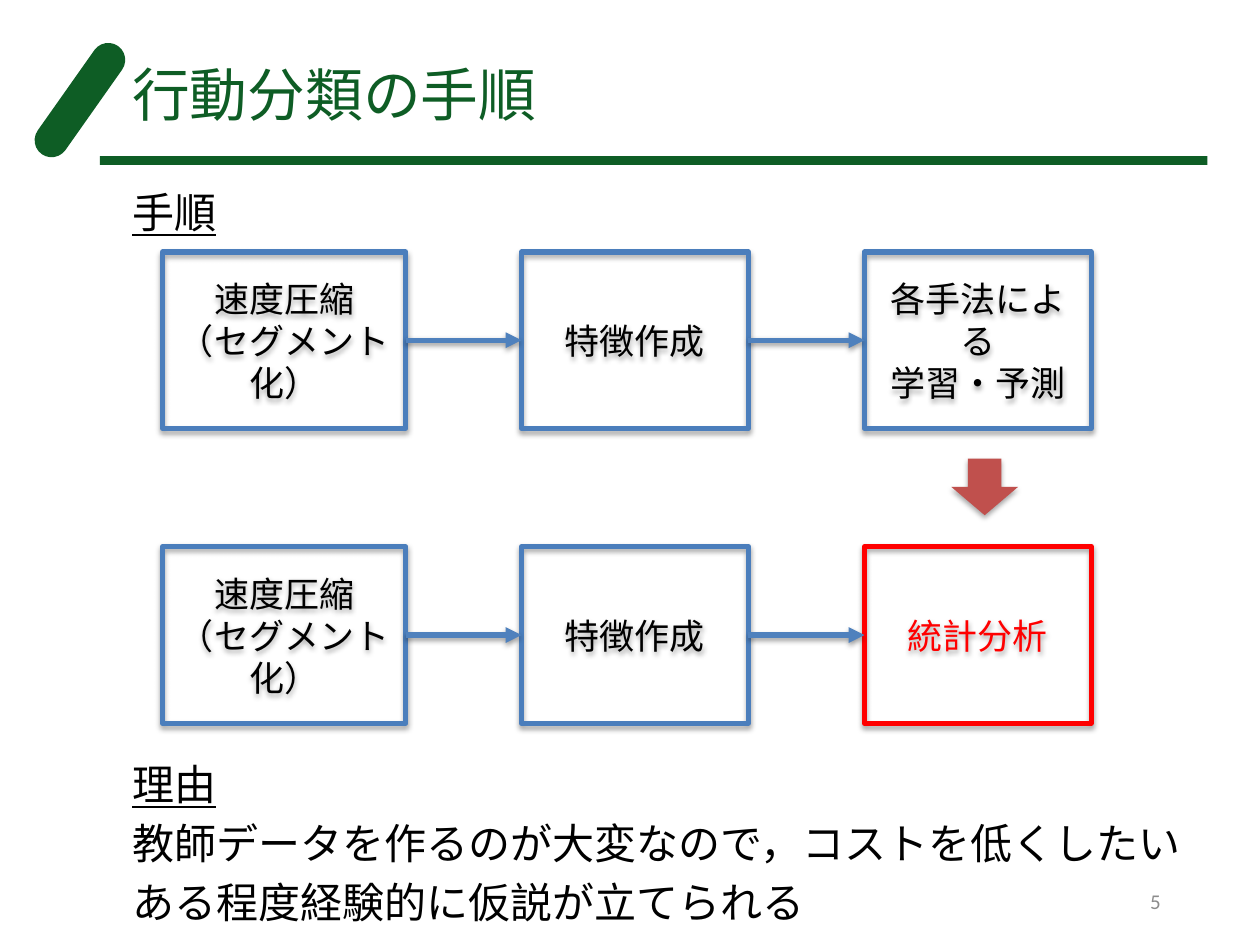
import dataclasses

import lxml.etree
import pptx
import pptx.dml.color
import pptx.enum.shapes
import pptx.enum.text
import pptx.oxml.ns
import pptx.util

Pt = pptx.util.Pt
RGB = pptx.dml.color.RGBColor
Kind = pptx.enum.shapes.MSO_SHAPE
Align = pptx.enum.text.PP_ALIGN
Anchor = pptx.enum.text.MSO_ANCHOR
qn = pptx.oxml.ns.qn

GREEN = RGB(0x0E, 0x5D, 0x25)
BLUE = RGB(0x4B, 0x7E, 0xBC)
ARROW = RGB(0x4F, 0x81, 0xBD)
BRICK = RGB(0xC0, 0x50, 0x4D)
RED = RGB(0xFF, 0x00, 0x00)
BLACK = RGB(0x00, 0x00, 0x00)
GREY = RGB(0x8C, 0x8C, 0x8C)

FONT = "Calibri"
HEIGHT = 100.8
SPANS = [(92.9, 139), (298, 129.6), (494, 129.6)]


@dataclasses.dataclass
class Step:
    lines: list[str]
    edge: RGB = BLUE
    ink: RGB = BLACK


@dataclasses.dataclass
class Flow:
    top: float
    steps: list[Step]


def write(frame, lines: list[str], *, size: float, color=BLACK, align=Align.LEFT,
          anchor=Anchor.TOP, before: float = 0, under: bool = False) -> None:
    frame.word_wrap = True
    frame.vertical_anchor = anchor
    for i, line in enumerate(lines):
        para = frame.paragraphs[0] if i == 0 else frame.add_paragraph()
        para.alignment = align
        para.space_before = Pt(before)
        run = para.add_run()
        run.text = line
        font = run.font
        font.name = FONT
        font.size = Pt(size)
        font.color.rgb = color
        font.underline = under and i == 0


def label(slide, left: float, top: float, width: float, height: float,
          lines: list[str], **style) -> None:
    box = slide.shapes.add_textbox(Pt(left), Pt(top), Pt(width), Pt(height))
    write(box.text_frame, lines, **style)


def shade(item, alpha: int, dist: float) -> None:
    props = item._element.spPr
    effect = props.find(qn("a:effectLst"))
    if effect is None:
        effect = lxml.etree.SubElement(props, qn("a:effectLst"))
    cast = lxml.etree.SubElement(
        effect, qn("a:outerShdw"), blurRad=str(Pt(3.1)), dist=str(Pt(dist)),
        dir="5400000", rotWithShape="0")
    tint = lxml.etree.SubElement(cast, qn("a:srgbClr"), val=str(BLACK))
    lxml.etree.SubElement(tint, qn("a:alpha"), val=str(alpha * 1000))


def draw(slide, kind, left: float, top: float, width: float, height: float,
         fill=None, edge=None):
    item = slide.shapes.add_shape(kind, Pt(left), Pt(top), Pt(width), Pt(height))
    item.shadow.inherit = False
    if fill is None:
        item.fill.background()
    else:
        item.fill.solid()
        item.fill.fore_color.rgb = fill
    if edge is None:
        item.line.fill.background()
    else:
        item.line.color.rgb = edge
        item.line.width = Pt(3)
    return item


def link(slide, start: float, end: float, level: float) -> None:
    line = slide.shapes.add_connector(
        pptx.enum.shapes.MSO_CONNECTOR.STRAIGHT,
        Pt(start), Pt(level), Pt(end), Pt(level))
    line.line.color.rgb = ARROW
    line.line.width = Pt(3)
    lxml.etree.SubElement(line.line._get_or_add_ln(), qn("a:tailEnd"), type="triangle")
    shade(line, 38, 1.6)


def chain(slide, flow: Flow) -> None:
    for (left, width), step in zip(SPANS, flow.steps):
        box = draw(slide, Kind.RECTANGLE, left, flow.top, width, HEIGHT, edge=step.edge)
        shade(box, 35, 1.8)
        write(box.text_frame, step.lines, size=20, color=step.ink,
              align=Align.CENTER, anchor=Anchor.MIDDLE)
    for (left, width), (end, _) in zip(SPANS, SPANS[1:]):
        link(slide, left + width, end, flow.top + HEIGHT / 2)


def main() -> None:
    deck = pptx.Presentation()
    deck.slide_width, deck.slide_height = Pt(720), Pt(540)
    slide = deck.slides.add_slide(deck.slide_layouts[6])

    slash = draw(slide, Kind.ROUNDED_RECTANGLE, 36, 19.4, 19.4, 75.6, fill=GREEN)
    slash.adjustments[0] = 0.5
    slash.rotation = 35.2
    draw(slide, Kind.RECTANGLE, 57, 89.3, 633, 5, fill=GREEN)

    label(slide, 68.4, 30.2, 615.6, 90, ["行動分類の手順"], size=33, color=GREEN)
    label(slide, 68.4, 103, 615.6, 50.4, ["手順"], size=24, before=4.8, under=True)
    label(slide, 508.3, 500.4, 162, 28.8, ["5"], size=12, color=GREY,
          align=Align.RIGHT, anchor=Anchor.MIDDLE)

    shared = [Step(["速度圧縮", "（セグメント化）"]), Step(["特徴作成"])]
    flows = [
        Flow(144, shared + [Step(["各手法による", "学習・予測"])]),
        Flow(312.5, shared + [Step(["統計分析"], RED, RED)]),
    ]
    for flow in flows:
        chain(slide, flow)

    down = draw(slide, Kind.DOWN_ARROW, 543.6, 262, 38.2, 32.4, fill=BRICK)
    shade(down, 35, 1.8)

    reason = ["理由", "教師データを作るのが大変なので，コストを低くしたい",
              "ある程度経験的に仮説が立てられる"]
    label(slide, 68.4, 430, 615.6, 102.2, reason, size=24, before=4.8, under=True)

    deck.save("out.pptx")


if __name__ == "__main__":
    main()
